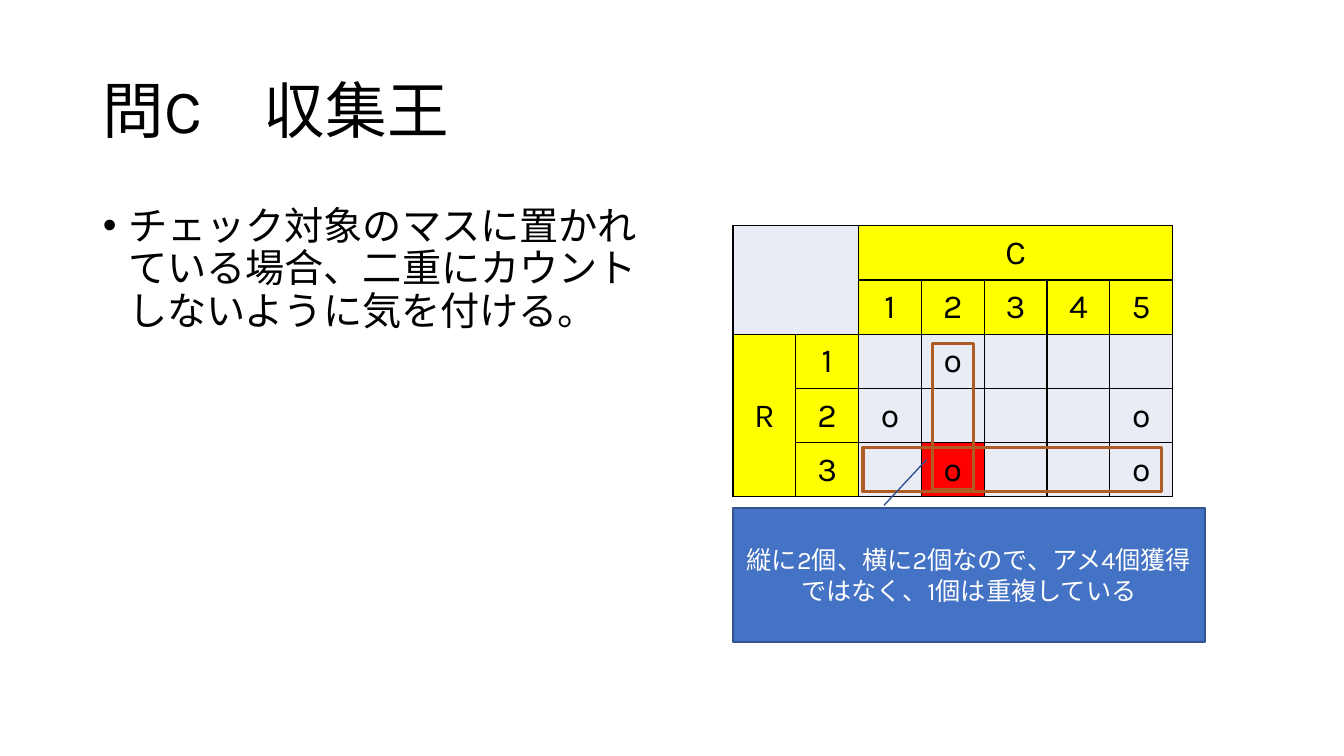
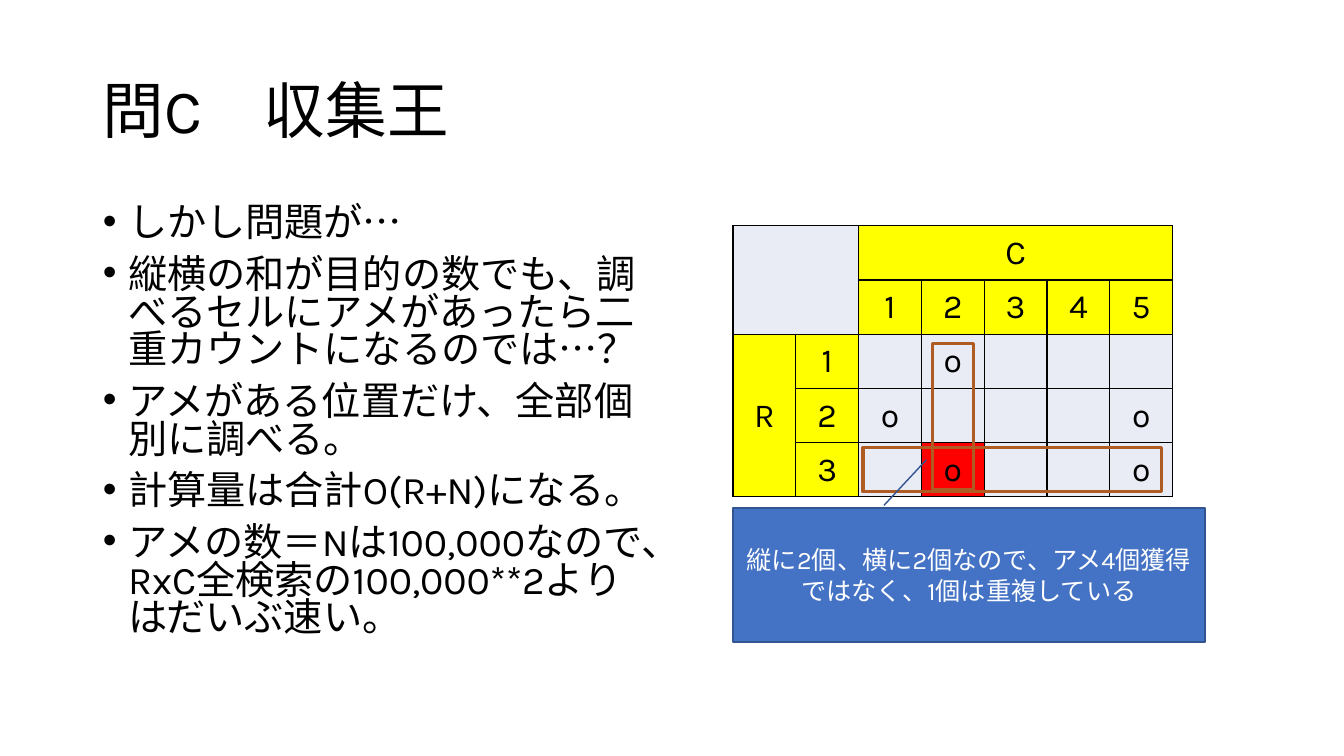
import pptx
import pptx.util
import pptx.dml.color
import pptx.enum.shapes
import pptx.enum.text
import pptx.oxml.ns
import lxml.etree

Inches = pptx.util.Inches
Pt = pptx.util.Pt
ALIGN = pptx.enum.text.PP_ALIGN
MIDDLE = pptx.enum.text.MSO_ANCHOR.MIDDLE
SHAPE = pptx.enum.shapes.MSO_SHAPE

FONT = "Karla"
COLORS = {
    "ink": "000000",
    "paper": "FFFFFF",
    "header": "FFFF00",
    "cell": "E9EBF5",
    "overlap": "FF0000",
    "frame": "AF5C24",
    "callout": "4472C4",
    "callout_edge": "325491",
}

TITLE = "問C　収集王"
TITLE_BOX = (0.92, 0.4, 11.5, 1.45)
BODY_BOX = (0.92, 2, 5.67, 4.76)
GRID_BOX = (7.27, 2.24, 4.36, 2.69)
CALLOUT_BOX = (7.27, 5.04, 4.68, 1.33)

GRID = [
    ["", "", "C", "", "", "", ""],
    ["", "", "1", "2", "3", "4", "5"],
    ["R", "1", "", "o", "", "", ""],
    ["", "2", "o", "", "", "", "o"],
    ["", "3", "", "o", "", "", "o"],
]
HEADER_SIZE = 2
OVERLAP_CELL = (4, 3)
MERGES = [((0, 0), (1, 1)), ((0, 2), (0, 6)), ((2, 0), (4, 0))]
FRAME_OFFSETS = [(1.98, 1.17, 0.41, 1.45), (1.29, 2.2, 2.96, 0.44)]
CALLOUT_LINES = ["縦に2個、横に2個なので、アメ4個獲得", "ではなく、1個は重複している"]
CALLOUT_POINTER = (-0.02, 0.32, -0.36, 0.41)

PAGES = [
    (0.9, ["チェック対象のマスに置かれている場合、二重にカウントしないように気を付ける。"]),
    (0.8, [
        "しかし問題が…",
        "縦横の和が目的の数でも、調べるセルにアメがあったら二重カウントになるのでは…？",
        "アメがある位置だけ、全部個別に調べる。",
        "計算量は合計O(R+N)になる。",
        "アメの数＝Nは100,000なので、RxC全検索の100,000**2よりはだいぶ速い。",
    ]),
]


def color(name):
    """Return the named palette colour."""
    return pptx.dml.color.RGBColor.from_string(COLORS[name])


def place(shape, box):
    """Move and size a shape to a box given in inches."""
    shape.left, shape.top, shape.width, shape.height = map(Inches, box)


def write(frame, lines, size, ink="ink", align=ALIGN.LEFT, spacing=None):
    """Fill a text frame with equally formatted paragraphs."""
    frame.text = "\n".join(lines)
    frame.word_wrap = True
    for para in frame.paragraphs:
        para.alignment = align
        para.font.name = FONT
        para.font.size = Pt(size)
        para.font.bold = False
        para.font.color.rgb = color(ink)
        if spacing:
            para.line_spacing = spacing


def add_title(page, box):
    """Write the shared title into the title placeholder."""
    title = page.shapes.title
    place(title, box)
    write(title.text_frame, [TITLE], 44, spacing=0.9)
    title.text_frame.auto_size = pptx.enum.text.MSO_AUTO_SIZE.NONE
    title.text_frame.vertical_anchor = MIDDLE


def add_body(page, box, lines, spacing):
    """Write the bulleted list into the body placeholder."""
    body = page.placeholders[1]
    place(body, box)
    write(body.text_frame, lines, 28, spacing=spacing)
    body.text_frame.auto_size = pptx.enum.text.MSO_AUTO_SIZE.NONE
    for para in body.text_frame.paragraphs:
        para.space_before = Pt(10)
        properties = para._p.get_or_add_pPr()
        properties.set("marL", str(Inches(0.25)))
        properties.set("indent", str(Inches(-0.25)))


def add_borders(cell):
    """Draw a thin line on every side of a table cell."""
    properties = cell._tc.get_or_add_tcPr()
    qn = pptx.oxml.ns.qn
    for side in ("a:lnL", "a:lnR", "a:lnT", "a:lnB"):
        line = lxml.etree.SubElement(properties, qn(side), w=str(Pt(1)))
        fill = lxml.etree.SubElement(line, qn("a:solidFill"))
        lxml.etree.SubElement(fill, qn("a:srgbClr"), val=COLORS["ink"])


def cell_fill(row, column):
    """Choose the fill of a grid cell from its position."""
    if (row, column) == OVERLAP_CELL:
        return "overlap"
    in_header_row, in_header_column = row < HEADER_SIZE, column < HEADER_SIZE
    return "header" if in_header_row != in_header_column else "cell"


def add_grid(page, box):
    """Build the candy grid with its merged row and column headings."""
    rows, columns = len(GRID), len(GRID[0])
    table = page.shapes.add_table(rows, columns, *map(Inches, box)).table
    table.first_row = table.horz_banding = False
    for column in table.columns:
        column.width = Inches(box[2] / columns)
    for row in table.rows:
        row.height = Inches(box[3] / rows)
    for row, texts in enumerate(GRID):
        for column, text in enumerate(texts):
            cell = table.cell(row, column)
            add_borders(cell)
            cell.fill.solid()
            cell.fill.fore_color.rgb = color(cell_fill(row, column))
            if text:
                cell.margin_left = cell.margin_right = cell.margin_top = Inches(0.01)
                cell.margin_bottom = 0
                cell.vertical_anchor = MIDDLE
                write(cell.text_frame, [text], 24, align=ALIGN.CENTER)
    for start, end in MERGES:
        table.cell(*start).merge(table.cell(*end))


def add_frames(page, box):
    """Outline the checked column and row of the grid."""
    for left, top, width, height in FRAME_OFFSETS:
        frame_box = (box[0] + left, box[1] + top, width, height)
        frame = page.shapes.add_shape(SHAPE.RECTANGLE, *map(Inches, frame_box))
        frame.shadow.inherit = False
        frame.fill.background()
        frame.line.color.rgb = color("frame")
        frame.line.width = Pt(2.25)


def add_callout(page, box):
    """Add the remark that points at the doubly counted cell."""
    callout = page.shapes.add_shape(SHAPE.LINE_CALLOUT_1, *map(Inches, box))
    callout.shadow.inherit = False
    for index, value in enumerate(CALLOUT_POINTER):
        callout.adjustments[index] = value
    callout.fill.solid()
    callout.fill.fore_color.rgb = color("callout")
    callout.line.color.rgb = color("callout_edge")
    callout.line.width = Pt(1)
    callout.text_frame.vertical_anchor = MIDDLE
    write(callout.text_frame, CALLOUT_LINES, 18, "paper", ALIGN.CENTER)


def add_page(deck, lines, spacing):
    """Add one slide with its list beside the explained grid."""
    page = deck.slides.add_slide(deck.slide_layouts[1])
    add_title(page, TITLE_BOX)
    add_body(page, BODY_BOX, lines, spacing)
    add_grid(page, GRID_BOX)
    add_frames(page, GRID_BOX)
    add_callout(page, CALLOUT_BOX)


def main():
    """Build and save the deck."""
    deck = pptx.Presentation()
    deck.slide_width, deck.slide_height = Inches(13.33), Inches(7.5)
    for spacing, lines in PAGES:
        add_page(deck, lines, spacing)
    deck.save("out.pptx")


main()
